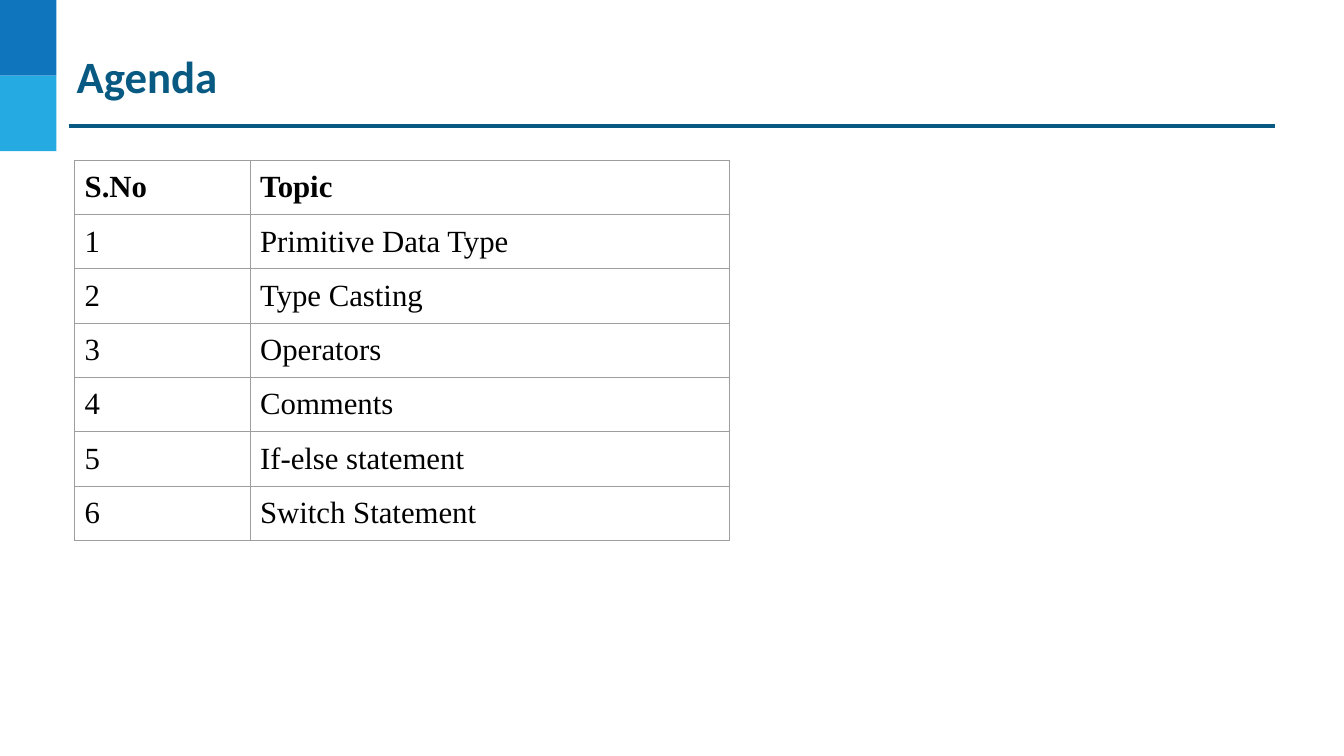
from lxml.etree import SubElement
from pptx import Presentation
from pptx.dml.color import RGBColor
from pptx.enum.shapes import MSO_CONNECTOR, MSO_SHAPE
from pptx.enum.text import MSO_ANCHOR, PP_ALIGN
from pptx.oxml.ns import qn
from pptx.util import Inches, Pt

TITLE = "Agenda"
HEADER = ("S.No", "Topic")
TOPICS = [
    "Primitive Data Type",
    "Type Casting",
    "Operators",
    "Comments",
    "If-else statement",
    "Switch Statement",
]

DARK_BLUE = RGBColor(0x0F, 0x75, 0xBD)
LIGHT_BLUE = RGBColor(0x25, 0xAA, 0xE2)
TEAL = RGBColor(0x09, 0x5A, 0x82)
BLACK = RGBColor(0, 0, 0)
GREY = RGBColor(0x9E, 0x9E, 0x9E)

SLIDE_W, SLIDE_H = Inches(13.33), Inches(7.5)
BLOCK_W, BLOCK_H = Inches(0.56), SLIDE_H // 10
LEFT = Inches(0.74)
RULE_Y = SLIDE_H // 6
COLUMN_WIDTHS = Inches(1.74), Inches(4.76)
ROW_H = Inches(0.42)


def write(tf, text, *, font, size, color, bold=False, inset):
    tf.word_wrap = True
    tf.margin_left = tf.margin_right = tf.margin_top = tf.margin_bottom = inset
    p = tf.paragraphs[0]
    p.alignment = PP_ALIGN.LEFT
    r = p.add_run()
    r.text = text
    r.font.name, r.font.size, r.font.bold = font, Pt(size), bold
    r.font.color.rgb = color


def add_borders(cell, color, width):
    tc_pr = cell._tc.get_or_add_tcPr()
    for i, side in enumerate(("lnL", "lnR", "lnT", "lnB")):
        ln = tc_pr.makeelement(qn(f"a:{side}"), {"w": str(width)})
        fill = SubElement(ln, qn("a:solidFill"))
        SubElement(fill, qn("a:srgbClr"), val=str(color))
        tc_pr.insert(i, ln)


def add_frame(s):
    """Draw the corner blocks and the rule below the title."""
    for i, color in enumerate((DARK_BLUE, LIGHT_BLUE)):
        block = s.shapes.add_shape(
            MSO_SHAPE.RECTANGLE, 0, i * BLOCK_H, BLOCK_W, BLOCK_H)
        block.shadow.inherit = False
        block.fill.solid()
        block.fill.fore_color.rgb = color
        block.line.fill.background()
    rule = s.shapes.add_connector(
        MSO_CONNECTOR.STRAIGHT, Inches(0.68), RULE_Y, Inches(12.65), RULE_Y)
    rule.line.color.rgb = TEAL
    rule.line.width = Pt(2.25)
    SubElement(rule._element.spPr, qn("a:effectLst"))


def add_title(s):
    title = s.shapes.title
    title.left, title.top = LEFT, Inches(0.46)
    title.width, title.height = Inches(11.97), Inches(0.58)
    title.text_frame.vertical_anchor = MSO_ANCHOR.MIDDLE
    write(title.text_frame, TITLE, font="Calibri", size=32, color=TEAL,
          bold=True, inset=Inches(0.02))


def add_agenda(s):
    rows = [HEADER] + [(str(n), topic) for n, topic in enumerate(TOPICS, 1)]
    table = s.shapes.add_table(
        len(rows), len(HEADER), LEFT, Inches(1.59),
        sum(COLUMN_WIDTHS), ROW_H * len(rows)).table
    table.horz_banding = False
    for column, width in zip(table.columns, COLUMN_WIDTHS):
        column.width = width
    for i, row in enumerate(rows):
        for j, text in enumerate(row):
            cell = table.cell(i, j)
            cell.fill.background()
            add_borders(cell, GREY, Pt(0.75))
            inset = Inches(0.1)
            cell.margin_left = cell.margin_right = inset
            cell.margin_top = cell.margin_bottom = inset
            write(cell.text_frame, text, font="Times New Roman", size=22,
                  color=BLACK, bold=i == 0, inset=inset)


def main():
    prs = Presentation()
    prs.slide_width, prs.slide_height = SLIDE_W, SLIDE_H
    s = prs.slides.add_slide(prs.slide_layouts[5])
    add_frame(s)
    add_title(s)
    add_agenda(s)
    prs.save("out.pptx")


if __name__ == "__main__":
    main()
